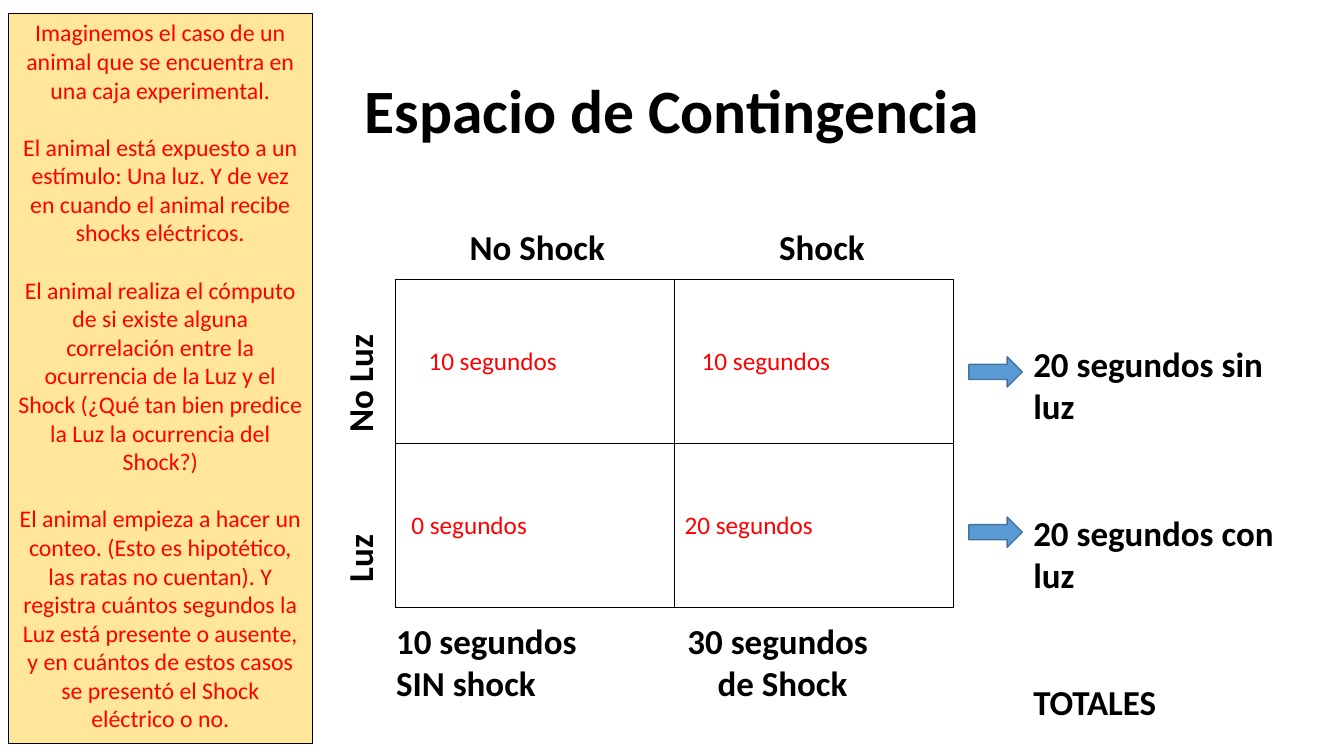
"""Build the contingency space slide: a 2x2 table with totals and a side note."""
from lxml import etree
from pptx import Presentation
from pptx.dml.color import RGBColor
from pptx.enum.shapes import MSO_SHAPE as SHAPE
from pptx.enum.text import MSO_ANCHOR as ANCHOR, PP_ALIGN as ALIGN
from pptx.oxml.ns import qn
from pptx.util import Inches, Pt

COLORS = {"black": "000000", "red": "FF0000", "note": "FFE699",
          "arrow": "5B9BD5", "arrow_line": "43739E"}


def rgb(name):
    return RGBColor.from_string(COLORS[name])


def write(tf, texts, size, color="black", bold=True, align=ALIGN.LEFT, gap=0, tabs=()):
    tf.word_wrap = True
    for i, text in enumerate(texts):
        p = tf.paragraphs[0] if i == 0 else tf.add_paragraph()
        p.alignment = align
        if i:
            p.space_before = Pt(gap)
        if tabs:
            tab_list = etree.SubElement(p._p.get_or_add_pPr(), qn("a:tabLst"))
            etree.SubElement(tab_list, qn("a:tab"), pos=str(Inches(tabs[i])), algn="l")
        r = p.add_run()
        r.text = text
        r.font.name = "Calibri"
        r.font.size = Pt(size)
        r.font.bold = bold
        r.font.color.rgb = rgb(color)


prs = Presentation()
prs.slide_width, prs.slide_height = Inches(13.33), Inches(7.5)
s = prs.slides.add_slide(prs.slide_layouts[6])

title = s.shapes.add_textbox(Inches(0.92), Inches(0.4), Inches(11.5), Inches(1.45))
title.text_frame.vertical_anchor = ANCHOR.MIDDLE
write(title.text_frame, ["Espacio de Contingencia"], 44, align=ALIGN.CENTER)
title.text_frame.paragraphs[0].line_spacing = 0.9

times = [[("10 segundos", 0.33), ("10 segundos", 0.27)],
         [("0 segundos", 0.16), ("20 segundos", 0.1)]]
table = s.shapes.add_table(2, 2, Inches(3.92), Inches(2.77), Inches(5.54), Inches(3.26)).table
table.first_row = table.horz_banding = False
for row, values in enumerate(times):
    for col, (text, indent) in enumerate(values):
        cell = table.cell(row, col)
        cell.vertical_anchor = ANCHOR.MIDDLE
        cell.margin_left = Inches(indent)
        write(cell.text_frame, [text], 18, "red", bold=False)
        tc_pr = cell._tc.get_or_add_tcPr()
        for side in ("lnL", "lnR", "lnT", "lnB"):
            ln = etree.SubElement(tc_pr, qn(f"a:{side}"), w=str(Pt(1)))
            fill = etree.SubElement(ln, qn("a:solidFill"))
            etree.SubElement(fill, qn("a:srgbClr"), val=COLORS["black"])
        cell.fill.background()

labels = [
    (4.56, 2.19, 5.31, 0.52, 0, ["No Shock\tShock"], [3.07]),
    (1.23, 3.28, 4.67, 0.52, 270, ["Luz\tNo Luz"], [1.49]),
    (3.83, 6.1, 7.16, 1.36, 0,
     ["10 segundos\t30 segundos", "SIN shock\tde Shock"], [2.89, 3.19]),
]
for x, y, w, h, angle, texts, tabs in labels:
    label = s.shapes.add_textbox(Inches(x), Inches(y), Inches(w), Inches(h))
    label.rotation = angle
    write(label.text_frame, texts, 25, tabs=tabs)

totals = s.shapes.add_textbox(Inches(10.15), Inches(2), Inches(2.6), Inches(5.22))
totals.text_frame.vertical_anchor = ANCHOR.BOTTOM
write(totals.text_frame, ["20 segundos sin luz", "20 segundos con luz", "TOTALES"], 25, gap=61)

for y in (3.54, 5.13):
    arrow = s.shapes.add_shape(SHAPE.RIGHT_ARROW, Inches(9.61), Inches(y), Inches(0.53), Inches(0.3))
    arrow.shadow.inherit = False
    arrow.fill.solid()
    arrow.fill.fore_color.rgb = rgb("arrow")
    arrow.line.color.rgb = rgb("arrow_line")
    arrow.line.width = Pt(1)

note = s.shapes.add_shape(SHAPE.RECTANGLE, Inches(0.08), Inches(0.13), Inches(3.02), Inches(7.25))
note.shadow.inherit = False
note.fill.solid()
note.fill.fore_color.rgb = rgb("note")
note.line.color.rgb = rgb("black")
note.line.width = Pt(0.75)
note.text_frame.vertical_anchor = ANCHOR.TOP
write(note.text_frame, [
    "Imaginemos el caso de un animal que se encuentra en una caja experimental.",
    "El animal está expuesto a un estímulo: Una luz. Y de vez en cuando el animal "
    "recibe shocks eléctricos.",
    "El animal realiza el cómputo de si existe alguna correlación entre la ocurrencia "
    "de la Luz y el Shock (¿Qué tan bien predice la Luz la ocurrencia del Shock?)",
    "El animal empieza a hacer un conteo. (Esto es hipotético, las ratas no cuentan). "
    "Y registra cuántos segundos la Luz está presente o ausente, y en cuántos de estos "
    "casos se presentó el Shock eléctrico o no.",
], 17, "red", bold=False, align=ALIGN.CENTER, gap=20.5)

prs.save("out.pptx")
